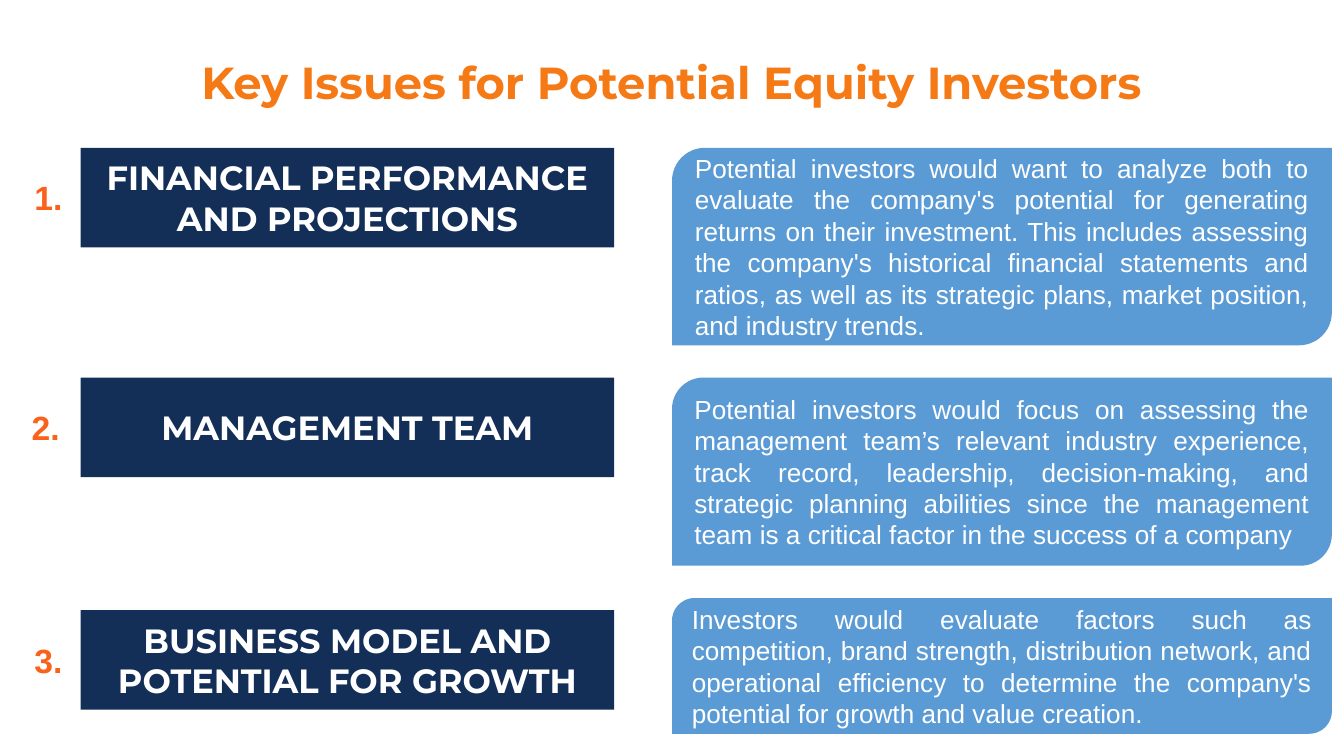
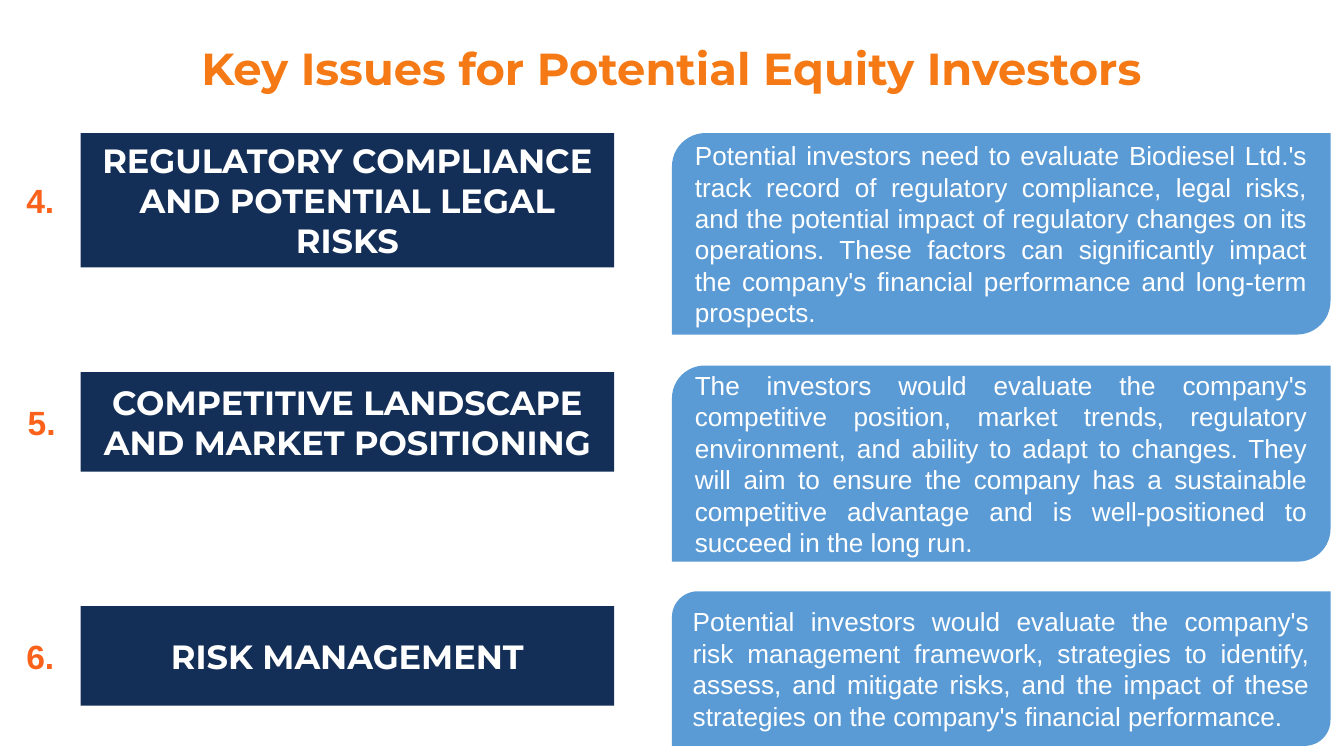
"""Build two slides on the key issues for potential equity investors."""
from pptx import Presentation
from pptx.dml.color import RGBColor
from pptx.enum.shapes import MSO_SHAPE
from pptx.enum.text import MSO_ANCHOR, MSO_AUTO_SIZE, PP_ALIGN
from pptx.util import Inches, Pt

HEADING_SHAPE = MSO_SHAPE.ROUND_2_SAME_RECTANGLE
ANSWER_SHAPE = MSO_SHAPE.ROUND_2_DIAG_RECTANGLE
MIDDLE = MSO_ANCHOR.MIDDLE
CENTER = PP_ALIGN.CENTER
JUSTIFY = PP_ALIGN.JUSTIFY
GROW = MSO_AUTO_SIZE.SHAPE_TO_FIT_TEXT
NO_FIT = MSO_AUTO_SIZE.NONE

COLORS = {
    "title": "F57A16",
    "number": "FA621C",
    "heading": "132E57",
    "answer": "5B9BD5",
    "text": "FFFFFF",
}
TITLE = "Key Issues for Potential Equity Investors"
TITLE_FONT = "Montserrat"
BODY_FONT = "Arial"
NUMBER_HEIGHT = 0.4

SLIDES = [
    {
        "title_top": 0.32,
        "answer_width": 4.91,
        "issues": [
            {
                "number": "1.", "number_left": 0.07,
                "heading": "FINANCIAL PERFORMANCE AND PROJECTIONS",
                "heading_top": 1.1, "heading_height": 0.74,
                "answer": "Potential investors would want to analyze both to evaluate the "
                          "company's potential for generating returns on their investment. "
                          "This includes assessing the company's historical financial "
                          "statements and ratios, as well as its strategic plans, market "
                          "position, and industry trends.",
                "answer_top": 1.1, "answer_height": 1.47,
            },
            {
                "number": "2.", "number_left": 0.05,
                "heading": "MANAGEMENT TEAM",
                "heading_top": 2.81, "heading_height": 0.74,
                "answer": "Potential investors would focus on assessing the management "
                          "team’s relevant industry experience, track record, leadership, "
                          "decision-making, and strategic planning abilities since the "
                          "management team is a critical factor in the success of a company",
                "answer_top": 2.81, "answer_height": 1.4,
            },
            {
                "number": "3.", "number_left": 0.07,
                "heading": "BUSINESS MODEL AND POTENTIAL FOR GROWTH",
                "heading_top": 4.54, "heading_height": 0.74,
                "answer": "Investors would evaluate factors such as competition, brand "
                          "strength, distribution network, and operational efficiency to "
                          "determine the company's potential for growth and value creation.",
                "answer_top": 4.45, "answer_height": 1.01,
            },
        ],
    },
    {
        "title_top": 0.22,
        "answer_width": 4.9,
        "issues": [
            {
                "number": "4.", "number_left": 0.01,
                "heading": "REGULATORY COMPLIANCE AND POTENTIAL LEGAL RISKS",
                "heading_top": 0.99, "heading_height": 1,
                "answer": "Potential investors need to evaluate Biodiesel Ltd.'s track "
                          "record of regulatory compliance, legal risks, and the potential "
                          "impact of regulatory changes on its operations. These factors can "
                          "significantly impact the company's financial performance and "
                          "long-term prospects.",
                "answer_top": 0.99, "answer_height": 1.5,
            },
            {
                "number": "5.", "number_left": 0.02,
                "heading": "COMPETITIVE LANDSCAPE AND MARKET POSITIONING",
                "heading_top": 2.77, "heading_height": 0.74,
                "answer": "The investors would evaluate the company's competitive position, "
                          "market trends, regulatory environment, and ability to adapt to "
                          "changes. They will aim to ensure the company has a sustainable "
                          "competitive advantage and is well-positioned to succeed in the "
                          "long run.",
                "answer_top": 2.72, "answer_height": 1.46,
            },
            {
                "number": "6.", "number_left": 0.01,
                "heading": "RISK MANAGEMENT",
                "heading_top": 4.51, "heading_height": 0.74,
                "answer": "Potential investors would evaluate the company's risk management "
                          "framework, strategies to identify, assess, and mitigate risks, and "
                          "the impact of these strategies on the company's financial "
                          "performance.",
                "answer_top": 4.4, "answer_height": 1.15,
            },
        ],
    },
]


def write(box, text, font, size, color, bold=True, align=CENTER, margin=0.05, fit=NO_FIT):
    """Put one formatted paragraph in a box, centred vertically."""
    frame = box.text_frame
    frame.text = text
    frame.word_wrap = True
    frame.auto_size = fit
    frame.vertical_anchor = MIDDLE
    frame.margin_left = frame.margin_right = Inches(0.1)
    frame.margin_top = frame.margin_bottom = Inches(margin)
    para = frame.paragraphs[0]
    para.alignment = align
    span = para.runs[0]
    span.font.name = font
    span.font.size = Pt(size)
    span.font.bold = bold
    span.font.color.rgb = RGBColor.from_string(COLORS[color])


def add_panel(page, kind, left, top, width, height, color):
    """Add a filled shape without outline or shadow."""
    panel = page.shapes.add_shape(kind, Inches(left), Inches(top), Inches(width), Inches(height))
    panel.shadow.inherit = False
    panel.fill.solid()
    panel.fill.fore_color.rgb = RGBColor.from_string(COLORS[color])
    panel.line.fill.background()
    return panel


deck = Presentation()
deck.slide_width = Inches(10)
deck.slide_height = Inches(10 * 9 / 16)

for content in SLIDES:
    page = deck.slides.add_slide(deck.slide_layouts[6])
    title = page.shapes.add_textbox(
        Inches(1.34), Inches(content["title_top"]), Inches(7.31), Inches(0.57))
    write(title, TITLE, TITLE_FONT, 24, "title", margin=0.1)

    for issue in content["issues"]:
        heading = add_panel(page, HEADING_SHAPE, 0.6, issue["heading_top"],
                            3.97, issue["heading_height"], "heading")
        heading.adjustments[0] = 0
        write(heading, issue["heading"], TITLE_FONT, 18, "text", margin=0.1)

        number_top = issue["heading_top"] + (issue["heading_height"] - NUMBER_HEIGHT) / 2
        number = page.shapes.add_textbox(
            Inches(issue["number_left"]), Inches(number_top), Inches(0.58), Inches(NUMBER_HEIGHT))
        write(number, issue["number"], BODY_FONT, 18, "number", fit=GROW)

        answer = add_panel(page, ANSWER_SHAPE, 5, issue["answer_top"],
                           content["answer_width"], issue["answer_height"], "answer")
        write(answer, issue["answer"], BODY_FONT, 14, "text", bold=False, align=JUSTIFY)

deck.save("out.pptx")
